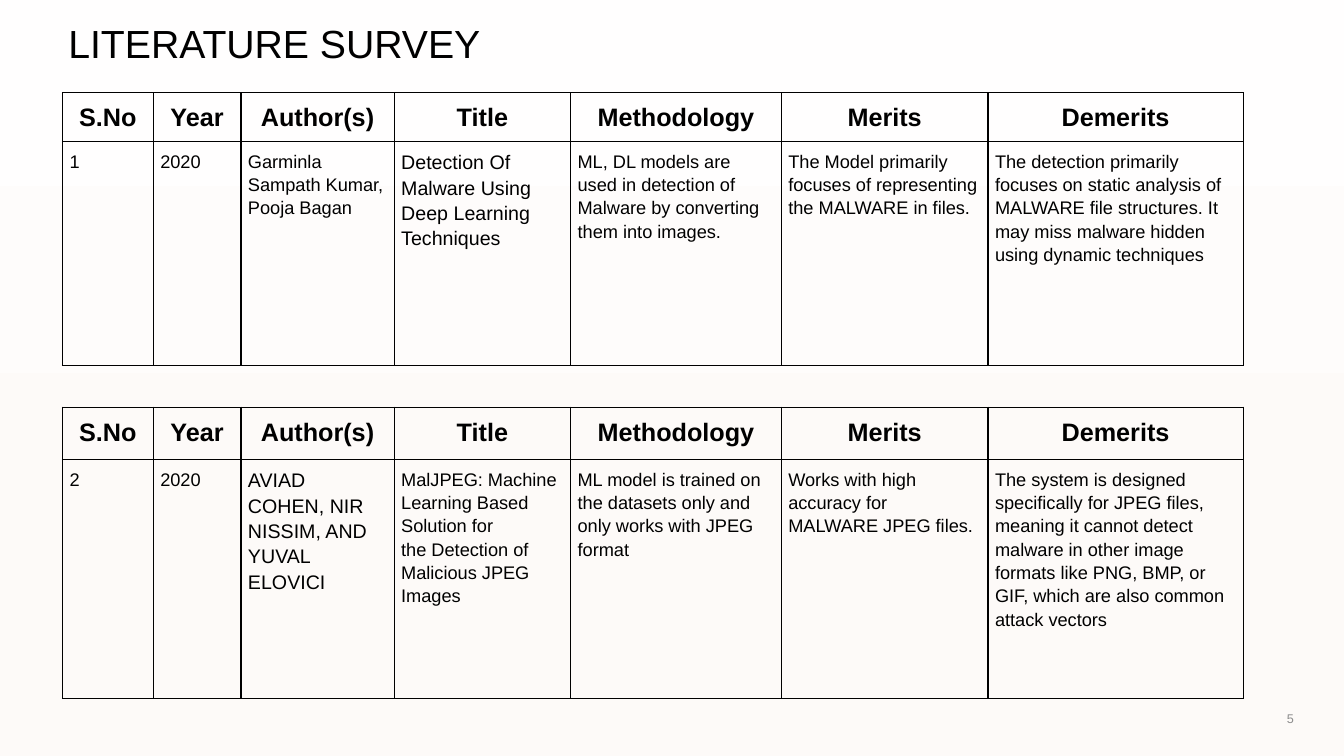
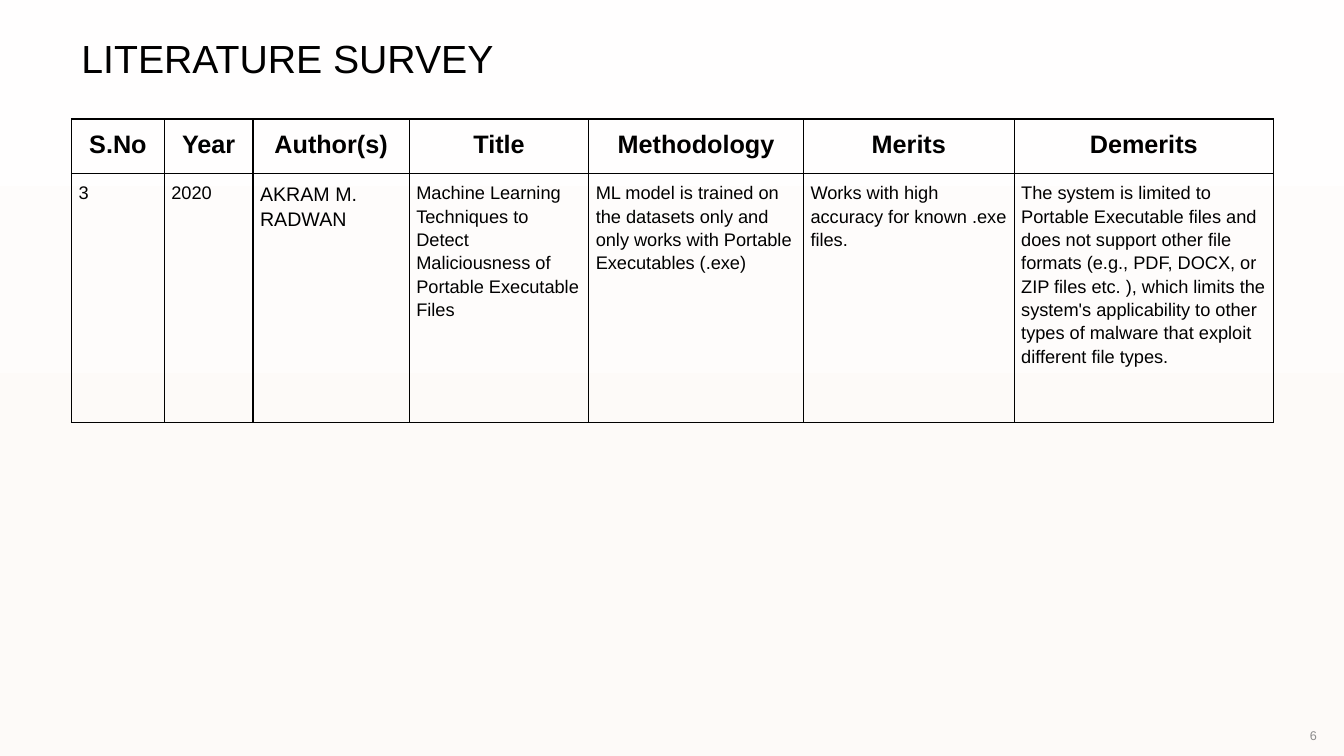
import copy

import lxml.etree
import pptx
import pptx.dml.color
import pptx.enum.text
import pptx.oxml
import pptx.oxml.ns
import pptx.util

PX = 9144
FONT = "Arial"
COLORS = {
    "text": "000000",
    "number": "8C8C8C",
    "border": "000000",
    "top": "FFFEFE",
    "middle": "FDFAF8",
    "bottom": "FEFCFA",
}
BACKGROUND_STOPS = [(0, "top"), (0.74, "middle"), (0.83, "middle"), (1, "bottom")]
HEADERS = ["S.No", "Year", "Author(s)", "Title", "Methodology", "Merits", "Demerits"]
COLUMN_WIDTHS = [90, 87, 152, 175, 209, 205, 253]
AUTHOR_COLUMN, TITLE_COLUMN = 2, 3
CELL_MARGIN = 7
ALIGN = pptx.enum.text.PP_ALIGN
ANCHOR = pptx.enum.text.MSO_ANCHOR

SURVEY = [
    ["1", "2020", "Garminla Sampath Kumar, Pooja Bagan",
     "Detection Of Malware Using Deep Learning Techniques",
     "ML, DL models are used in detection of Malware by converting them into images.",
     "The Model primarily focuses of representing the MALWARE in files.",
     "The detection primarily focuses on static analysis of MALWARE file structures. "
     "It may miss malware hidden using dynamic techniques"],
    ["2", "2020", "AVIAD COHEN, NIR NISSIM, AND YUVAL ELOVICI",
     "MalJPEG: Machine Learning Based Solution for\n"
     "the Detection of Malicious JPEG Images",
     "ML model is trained on the datasets only and only works with JPEG format",
     "Works with high accuracy for MALWARE JPEG files.",
     "The system is designed specifically for JPEG files, meaning it cannot detect "
     "malware in other image formats like PNG, BMP, or GIF, which are also common "
     "attack vectors"],
    ["3", "2020", "AKRAM M. RADWAN",
     "Machine Learning Techniques to Detect Maliciousness of\n"
     "Portable Executable Files",
     "ML model is trained on the datasets only and only works with "
     "Portable Executables (.exe)",
     "Works with high accuracy for known .exe files.",
     "The system is limited to Portable Executable files and does not support other "
     "file formats (e.g., PDF, DOCX, or ZIP files etc. ), which limits the system's "
     "applicability to other types of malware that exploit different file types."],
]


def px(n):
    return pptx.util.Emu(n * PX)


def rgb(name):
    return pptx.dml.color.RGBColor.from_string(COLORS[name])


def add_text(tf, text, size, color="text", bold=False, align=ALIGN.LEFT, spacing=1):
    for i, line in enumerate(text.split("\n")):
        p = tf.add_paragraph() if i else tf.paragraphs[0]
        p.alignment = align
        p.line_spacing = spacing
        r = p.add_run()
        r.text = line
        r.font.name = FONT
        r.font.size = pptx.util.Pt(size)
        r.font.bold = bold
        r.font.color.rgb = rgb(color)


def add_box(s, left, top, width, height):
    sp = s.shapes.add_textbox(px(left), px(top), px(width), px(height))
    sp.text_frame.word_wrap = True
    return sp.text_frame


def add_title(s, left, top):
    tf = add_box(s, left, top, 484, 57)
    tf.auto_size = pptx.enum.text.MSO_AUTO_SIZE.SHAPE_TO_FIT_TEXT
    add_text(tf, "LITERATURE SURVEY", 28)


def add_number(s, number, left, top):
    tf = add_box(s, left, top, 108, 40)
    tf.vertical_anchor = ANCHOR.MIDDLE
    add_text(tf, str(number), 9, "number", align=ALIGN.RIGHT)


def set_borders(cell):
    tcPr = cell._tc.get_or_add_tcPr()
    for i, side in enumerate("LRTB"):
        ln = pptx.oxml.parse_xml(
            f'<a:ln{side} {pptx.oxml.ns.nsdecls("a")} w="{pptx.util.Pt(1)}">'
            f'<a:solidFill><a:srgbClr val="{COLORS["border"]}"/></a:solidFill>'
            f'</a:ln{side}>')
        tcPr.insert(i, ln)


def fill_cell(cell, text, size, **style):
    cell.fill.background()
    set_borders(cell)
    cell.margin_left = cell.margin_right = px(CELL_MARGIN)
    cell.margin_top = cell.margin_bottom = px(CELL_MARGIN)
    add_text(cell.text_frame, text, size, spacing=1.15, **style)


def add_survey_table(s, entry, left, top, width, row_heights, large_column):
    frame = s.shapes.add_table(len(row_heights), len(HEADERS), px(left), px(top),
                               px(width), px(sum(row_heights)))
    table = frame.table
    table.first_row = table.horz_banding = False
    for row, height in zip(table.rows, row_heights):
        row.height = px(height)
    for i, (column, share) in enumerate(zip(table.columns, COLUMN_WIDTHS)):
        column.width = px(round(share * width / sum(COLUMN_WIDTHS)))
        fill_cell(table.cell(0, i), HEADERS[i], 18, bold=True, align=ALIGN.CENTER)
        fill_cell(table.cell(1, i), entry[i], 14 if i == large_column else 13)


def set_background(master):
    fill = master.background.fill
    fill.gradient()
    fill.gradient_angle = 270
    stops = master._element.cSld.xpath("./p:bg//a:gsLst")[0]
    while len(stops) < len(BACKGROUND_STOPS):
        stops.append(copy.deepcopy(stops[0]))
    for stop, (position, color) in zip(fill.gradient_stops, BACKGROUND_STOPS):
        stop.position = position
        stop.color.rgb = rgb(color)


def main():
    prs = pptx.Presentation()
    prs.slide_width, prs.slide_height = px(1333), px(750)
    set_background(prs.slide_master)
    blank = prs.slide_layouts[6]

    s = prs.slides.add_slide(blank)
    add_number(s, 5, 1185, 693)
    add_survey_table(s, SURVEY[0], 62, 92, 1171, [48, 222], TITLE_COLUMN)
    add_survey_table(s, SURVEY[1], 62, 404, 1171, [52, 237], AUTHOR_COLUMN)
    add_title(s, 58, 14)

    s = prs.slides.add_slide(blank)
    add_number(s, 6, 1208, 710)
    add_survey_table(s, SURVEY[2], 71, 118, 1191, [54, 247], AUTHOR_COLUMN)
    add_title(s, 71, 29)

    prs.save("out.pptx")


if __name__ == "__main__":
    main()
